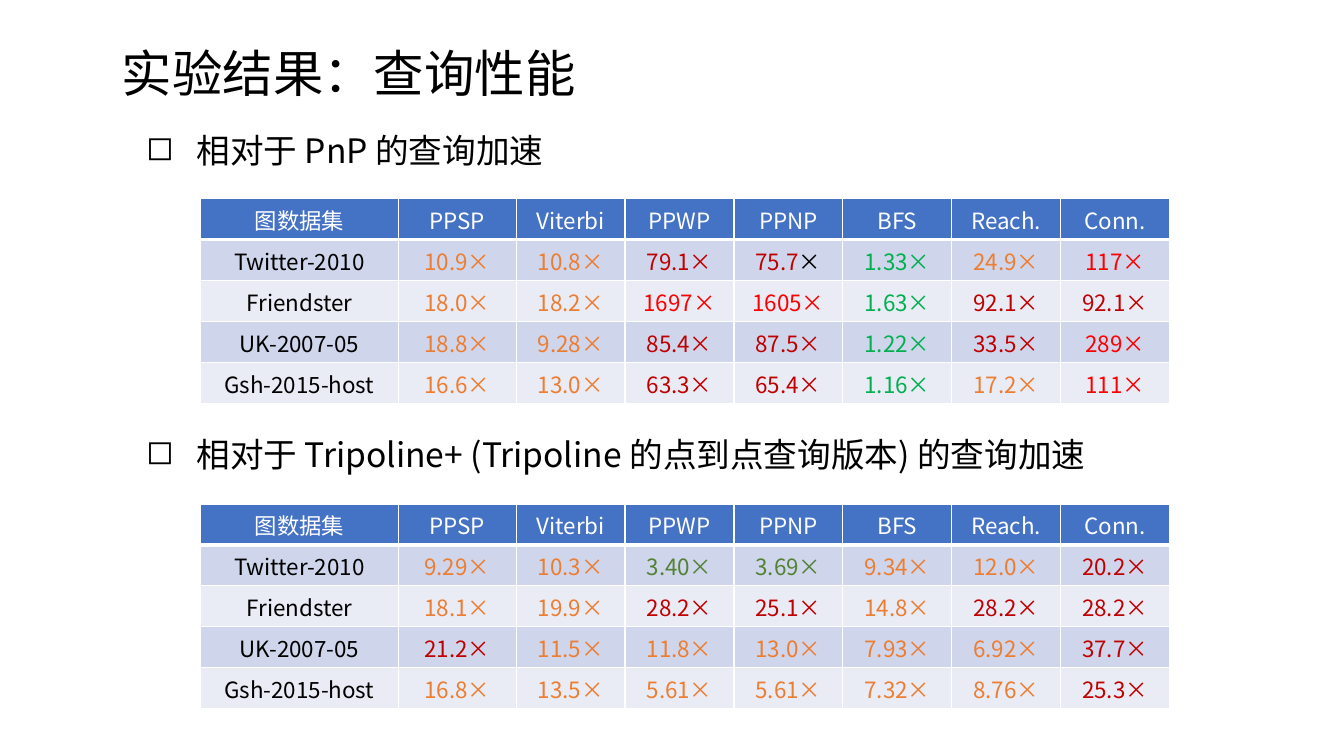
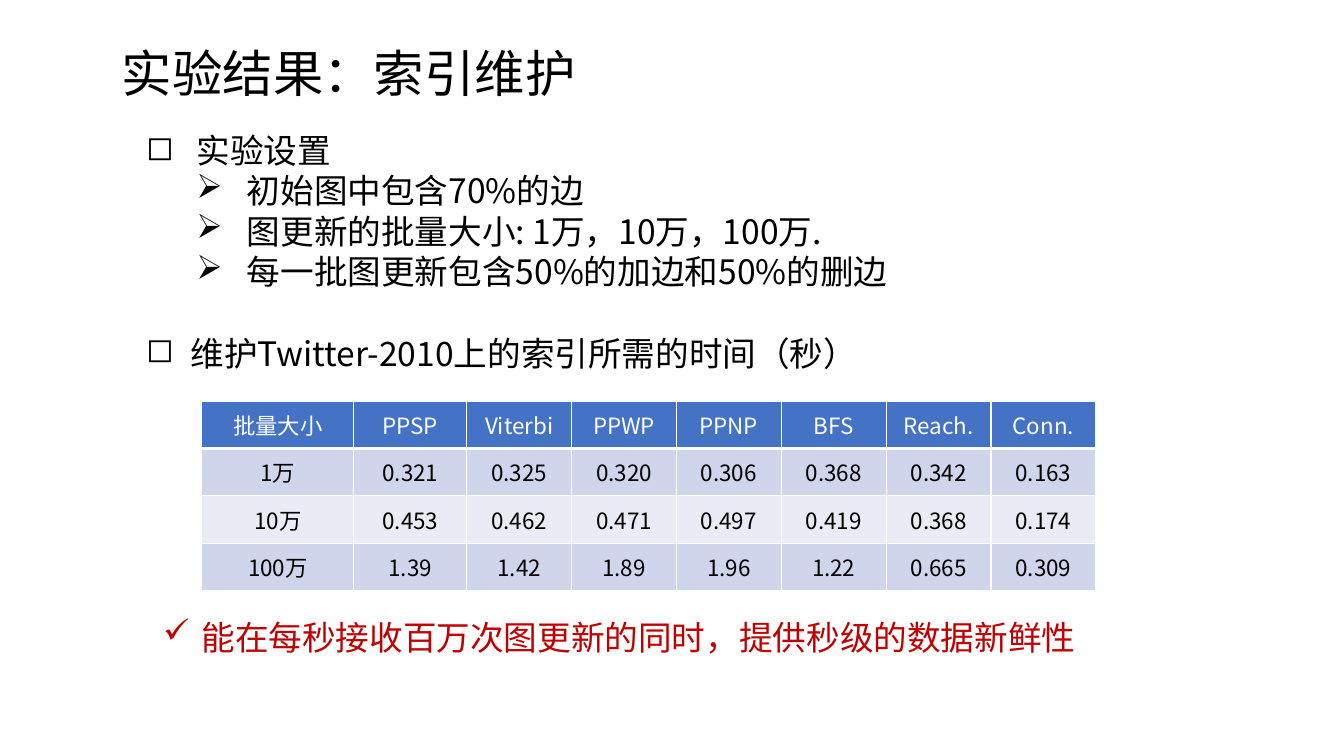
import pptx
import pptx.util
import pptx.dml.color
import pptx.enum.text
import pptx.enum.shapes
import pptx.oxml.ns
from lxml import etree

# Shared style
FONT = "Noto Sans CJK SC"
BLACK, WHITE, RED = "000000", "FFFFFF", "C00000"
HEADER_FILL, BAND_FILLS = "4472C4", ("CFD5EA", "E9EBF5")
# Each code gives the colour of the number and of the sign after it
SPEEDUP_COLOURS = {
    "g": ("00B050", "00B050"), "f": ("548235", "548235"),
    "o": ("ED7D31", "ED7D31"), "d": (RED, RED),
    "r": ("FF0000", "FF0000"), "m": (RED, BLACK), "k": (BLACK, BLACK),
}
TITLE_BOX = (1.11, 0.36, 11.69, 0.72)
QUERIES = ["PPSP", "Viterbi", "PPWP", "PPNP", "BFS", "Reach.", "Conn."]
SQUARE, ARROW, CHECK = "◻", "➢", "✓"

# Content: each table row is a label, its values and optional colour codes
PNP_ROWS = [
    ("Twitter-2010", "10.9× 10.8× 79.1× 75.7× 1.33× 24.9× 117×", "oodmgor"),
    ("Friendster", "18.0× 18.2× 1697× 1605× 1.63× 92.1× 92.1×", "oorrgdd"),
    ("UK-2007-05", "18.8× 9.28× 85.4× 87.5× 1.22× 33.5× 289×", "ooddgdr"),
    ("Gsh-2015-host", "16.6× 13.0× 63.3× 65.4× 1.16× 17.2× 111×", "ooddgor"),
]
TRIPOLINE_ROWS = [
    ("Twitter-2010", "9.29× 10.3× 3.40× 3.69× 9.34× 12.0× 20.2×", "ooffood"),
    ("Friendster", "18.1× 19.9× 28.2× 25.1× 14.8× 28.2× 28.2×", "ooddodd"),
    ("UK-2007-05", "21.2× 11.5× 11.8× 13.0× 7.93× 6.92× 37.7×", "doooood"),
    ("Gsh-2015-host", "16.8× 13.5× 5.61× 5.61× 7.32× 8.76× 25.3×", "ooooood"),
]
UPDATE_ROWS = [
    ("1万", "0.321 0.325 0.320 0.306 0.368 0.342 0.163", "k" * 7),
    ("10万", "0.453 0.462 0.471 0.497 0.419 0.368 0.174", "k" * 7),
    ("100万", "1.39 1.42 1.89 1.96 1.22 0.665 0.309", "k" * 7),
]
# List items: bullet, left margin, hanging indent, text
SLIDES = [
    {
        "title": "实验结果：查询性能",
        "lists": [
            {"box": (1.35, 1.24, 11.02, 0.5),
             "items": [(SQUARE, 0.5, 0.5, "相对于 PnP 的查询加速")]},
            {"box": (1.35, 4.26, 11.02, 0.5),
             "items": [(SQUARE, 0.5, 0.5,
                        "相对于 Tripoline+ (Tripoline 的点到点查询版本) 的查询加速")]},
        ],
        "tables": [
            {"at": (1.99, top), "columns": (1.96, 1.17, 1.08), "row": 0.406,
             "corner": "图数据集", "rows": rows}
            for top, rows in ((1.97, PNP_ROWS), (5, TRIPOLINE_ROWS))
        ],
    },
    {
        "title": "实验结果：索引维护",
        "lists": [
            {"box": (1.35, 1.24, 11.02, 1.72),
             "items": [(SQUARE, 0.5, 0.5, "实验设置"),
                       (ARROW, 1, 0.5, "初始图中包含70%的边"),
                       (ARROW, 1, 0.5, "图更新的批量大小: 1万，10万，100万."),
                       (ARROW, 1, 0.5, "每一批图更新包含50%的加边和50%的删边")]},
            {"box": (1.35, 3.25, 10.51, 0.5),
             "items": [(SQUARE, 0.44, 0.44, "维护Twitter-2010上的索引所需的时间（秒）")]},
            {"box": (1.52, 6.07, 9.66, 0.5), "colour": RED, "fill": WHITE,
             "items": [(CHECK, 0.38, 0.38,
                        "能在每秒接收百万次图更新的同时，提供秒级的数据新鲜性")]},
        ],
        "tables": [
            {"at": (2, 3.98), "columns": (1.51, 1.12, 1.04), "row": 0.47,
             "corner": "批量大小", "rows": UPDATE_ROWS},
        ],
    },
]


def inches(*values):
    return [pptx.util.Inches(value) for value in values]


def rgb(colour):
    return pptx.dml.color.RGBColor.from_string(colour)


def add_element(parent, tag, **attributes):
    return etree.SubElement(parent, pptx.oxml.ns.qn(tag), attributes)


def add_run(paragraph, text, size, colour):
    run = paragraph.add_run()
    run.text = text
    for name, value in {"name": FONT, "size": pptx.util.Pt(size)}.items():
        setattr(run.font, name, value)
    run.font.color.rgb = rgb(colour)
    add_element(run.font._element, "a:ea", typeface=FONT)


def add_title(slide, text):
    frame = slide.shapes.add_textbox(*inches(*TITLE_BOX)).text_frame
    frame.word_wrap = True
    frame.vertical_anchor = pptx.enum.text.MSO_ANCHOR.BOTTOM
    frame.paragraphs[0].line_spacing = 0.9
    add_run(frame.paragraphs[0], text, 36, BLACK)


def add_list(slide, box, items, colour=BLACK, fill=None):
    if fill:
        shape = slide.shapes.add_shape(
            pptx.enum.shapes.MSO_SHAPE.RECTANGLE, *inches(*box))
        shape.shadow.inherit = False
        shape.fill.solid()
        shape.fill.fore_color.rgb = rgb(fill)
        shape.line.fill.background()
    else:
        shape = slide.shapes.add_textbox(*inches(*box))
    frame = shape.text_frame
    frame.word_wrap = True
    frame.vertical_anchor = pptx.enum.text.MSO_ANCHOR.TOP
    for index, (bullet, margin, hanging, text) in enumerate(items):
        paragraph = frame.add_paragraph() if index else frame.paragraphs[0]
        paragraph.alignment = pptx.enum.text.PP_ALIGN.LEFT
        paragraph.level = 1 if bullet == ARROW else 0
        properties = paragraph._p.get_or_add_pPr()
        left, indent = inches(margin, -hanging)
        properties.set("marL", str(left))
        properties.set("indent", str(indent))
        add_element(properties, "a:buChar", char=bullet)
        add_run(paragraph, text, 24, colour)


def style_cell(cell, fill, runs, bottom_width):
    cell.fill.solid()
    cell.fill.fore_color.rgb = rgb(fill)
    cell.vertical_anchor = pptx.enum.text.MSO_ANCHOR.MIDDLE
    paragraph = cell.text_frame.paragraphs[0]
    paragraph.alignment = pptx.enum.text.PP_ALIGN.CENTER
    for text, colour in runs:
        add_run(paragraph, text, 16, colour)
    # Borders come before the fill in the cell properties
    properties = cell._tc.get_or_add_tcPr()
    widths = {"a:lnL": 1, "a:lnR": 1, "a:lnT": 1, "a:lnB": bottom_width}
    for position, (tag, width) in enumerate(widths.items()):
        line = add_element(properties, tag, w=str(pptx.util.Pt(width)))
        add_element(add_element(line, "a:solidFill"), "a:srgbClr", val=WHITE)
        properties.insert(position, line)


def value_runs(value, code):
    number_colour, sign_colour = SPEEDUP_COLOURS[code]
    if number_colour == sign_colour:
        return [(value, number_colour)]
    return [(value[:-1], number_colour), (value[-1], sign_colour)]


def add_data_table(slide, at, columns, row, corner, rows):
    label_width, first_width, other_width = columns
    widths = [label_width, first_width] + [other_width] * (len(QUERIES) - 1)
    grid = [[[(text, WHITE)] for text in [corner] + QUERIES]]
    for label, values, codes in rows:
        grid.append([[(label, BLACK)]] + [
            value_runs(*pair) for pair in zip(values.split(), codes)])
    table = slide.shapes.add_table(
        len(grid), len(widths),
        *inches(*at, sum(widths), row * len(grid))).table
    for column, width in zip(table.columns, widths):
        column.width = pptx.util.Inches(width)
    for row_index, line in enumerate(grid):
        table.rows[row_index].height = pptx.util.Inches(row)
        fill = BAND_FILLS[(row_index - 1) % 2] if row_index else HEADER_FILL
        for column_index, runs in enumerate(line):
            style_cell(table.cell(row_index, column_index), fill, runs,
                       1 if row_index else 3)


def main():
    presentation = pptx.Presentation()
    presentation.slide_width, presentation.slide_height = inches(13.33, 7.5)
    for content in SLIDES:
        slide = presentation.slides.add_slide(presentation.slide_layouts[6])
        add_title(slide, content["title"])
        for entry in content["lists"]:
            add_list(slide, **entry)
        for entry in content["tables"]:
            add_data_table(slide, **entry)
    presentation.save("out.pptx")


if __name__ == "__main__":
    main()
